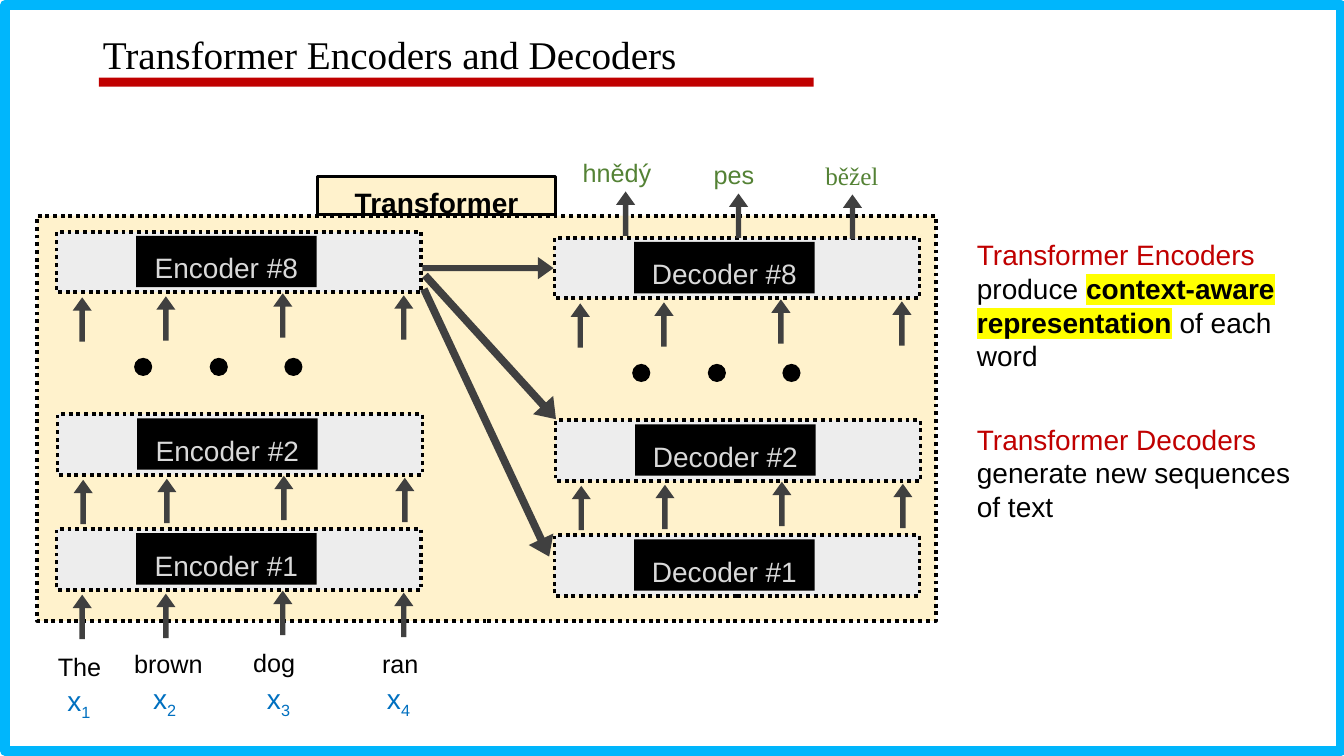
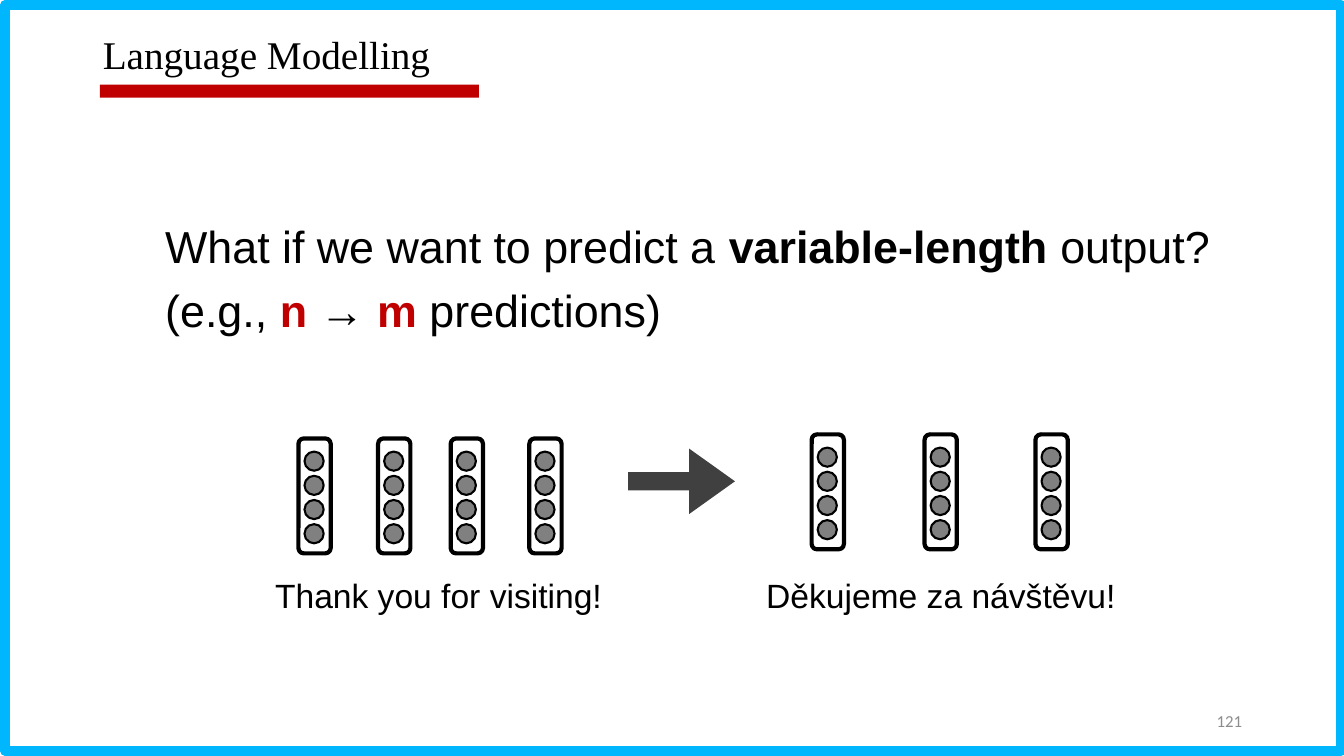
from dataclasses import dataclass

from lxml import etree
from pptx import Presentation
from pptx.dml.color import RGBColor
from pptx.enum.dml import MSO_LINE
from pptx.enum.shapes import MSO_SHAPE as Preset
from pptx.enum.text import MSO_ANCHOR as Anchor, MSO_AUTO_SIZE as AutoSize, PP_ALIGN as Align
from pptx.oxml.ns import qn
from pptx.util import Emu, Pt

EMU_PER_PX = 9144


@dataclass(frozen=True)
class Theme:
    black: str = "000000"
    white: str = "FFFFFF"
    frame: str = "00B6FC"
    accent: str = "C00000"
    cream: str = "FFF2CC"
    layer: str = "EDEDED"
    layer_text: str = "D9D9D9"
    arrow: str = "404040"
    cell: str = "808080"
    token: str = "0070C0"
    output: str = "548235"
    highlight: str = "FFFF00"
    muted: str = "8C8C8C"
    sans: str = "Arial"
    serif: str = "Times New Roman"
    number_font: str = "Calibri"
    small: int = 12
    word: int = 18
    body: int = 20
    caption: int = 24
    title: int = 28
    question: int = 32


THEME = Theme()


@dataclass(frozen=True)
class Span:
    text: str
    color: str = ""
    bold: bool = False
    highlight: str = ""
    subscript: bool = False


def px(length):
    return Emu(length * EMU_PER_PX)


def rgb(color):
    return RGBColor.from_string(color)


def add_span(para, span):
    run = para.add_run()
    run.text = span.text
    if span.bold:
        run.font.bold = True
    if span.color:
        run.font.color.rgb = rgb(span.color)
    properties = run._r.get_or_add_rPr()
    if span.highlight:
        mark = etree.SubElement(properties, qn("a:highlight"))
        etree.SubElement(mark, qn("a:srgbClr"), val=span.highlight)
    if span.subscript:
        properties.set("baseline", "-25000")


def write(box, spans, size, color=THEME.black, font=THEME.sans, align=Align.LEFT,
          spacing=1.0, anchor=Anchor.TOP):
    frame = box.text_frame
    frame.word_wrap = True
    frame.auto_size = AutoSize.NONE
    frame.vertical_anchor = anchor
    para = frame.paragraphs[0]
    para.alignment = align
    para.line_spacing = spacing
    para.font.size = Pt(size)
    para.font.name = font
    para.font.color.rgb = rgb(color)
    for span in spans:
        if span.text == "\n":
            para.add_line_break()
        else:
            add_span(para, span)


def add_text(page, left, top, width, height, spans, size, **style):
    box = page.shapes.add_textbox(px(left), px(top), px(width), px(height))
    write(box, spans, size, **style)


def add_word(page, center, top, text, color=THEME.black, font=THEME.sans):
    width = 136
    add_text(page, center - width // 2, top, width, 55, [Span(text)], THEME.word,
             color=color, font=font, align=Align.CENTER, spacing=1.2)


def add_shape(shapes, preset, left, top, width, height, fill=None, line=None,
              weight=1.0, dash=None):
    shape = shapes.add_shape(preset, px(left), px(top), px(width), px(height))
    shape.shadow.inherit = False
    if fill:
        shape.fill.solid()
        shape.fill.fore_color.rgb = rgb(fill)
    else:
        shape.fill.background()
    if line:
        shape.line.color.rgb = rgb(line)
        shape.line.width = Pt(weight)
        if dash:
            shape.line.dash_style = dash
    else:
        shape.line.fill.background()
    return shape


def add_dotted_panel(page, left, top, width, height, fill):
    add_shape(page.shapes, Preset.RECTANGLE, left, top, width, height, fill,
              THEME.black, 2.75, MSO_LINE.ROUND_DOT)


def add_label(page, left, top, width, height, fill, span, inset, color=THEME.black, line=None):
    label = add_shape(page.shapes, Preset.RECTANGLE, left, top, width, height, fill, line, 1.75)
    label.text_frame.margin_top = px(inset)
    write(label, [span], THEME.body, color=color, align=Align.CENTER, spacing=1.2)


def add_arrow(page, preset, left, top, width, height, rotation=0.0):
    arrow = add_shape(page.shapes, preset, left, top, width, height, THEME.arrow)
    arrow.adjustments[0] = 0.28
    arrow.adjustments[1] = 0.7
    arrow.rotation = rotation


def add_up_arrow(page, center, top):
    add_arrow(page, Preset.UP_ARROW, center - 9, top, 19, 44)


def add_layer(page, left, top, name, has_inputs):
    add_dotted_panel(page, left, top, 362, 60, THEME.layer)
    add_label(page, left + 79, top + 4, 179, 51, THEME.black, Span(name), 8, THEME.layer_text)
    if has_inputs:
        for across, down in ((25, 65), (108, 64), (224, 61), (344, 63)):
            add_up_arrow(page, left + across, top + down)


def add_stack(page, kind, left, top, bottom_has_inputs):
    for number, across, down in ((8, 0, 0), (2, 1, 181), (1, 0, 295)):
        add_layer(page, left + across, top + down, f"{kind} #{number}",
                  number > 1 or bottom_has_inputs)
    for across in (77, 152, 226):
        add_shape(page.shapes, Preset.OVAL, left + across, top + 125, 18, 18, THEME.black)


def add_vector(page, left, top):
    group = page.shapes.add_group_shape()
    add_shape(group.shapes, Preset.ROUNDED_RECTANGLE, left, top, 32, 114,
              line=THEME.black, weight=3)
    for index in range(4):
        add_shape(group.shapes, Preset.OVAL, left + 6, top + 13 + 24 * index, 19, 19,
                  THEME.cell, THEME.black, 1.5)


def add_page(deck, title, bar):
    page = deck.slides.add_slide(deck.slide_layouts[5])
    heading = page.shapes.title
    heading.left, heading.top, heading.width, heading.height = map(px, (92, 30, 978, 68))
    write(heading, [Span(title)], THEME.title, font=THEME.serif, spacing=0.9)
    add_shape(page.shapes, Preset.RECTANGLE, *bar, THEME.accent)
    return page


def add_master_frame(deck, page):
    border = add_shape(page.shapes, Preset.RECTANGLE, 5, 5, 1325, 740,
                       THEME.white, THEME.frame, 7)
    deck.slide_master.shapes.element.insert(2, border.element)


def build_transformer(deck):
    page = add_page(deck, "Transformer Encoders and Decoders", (98, 77, 709, 9))
    add_dotted_panel(page, 37, 214, 891, 402, THEME.cream)
    add_label(page, 315, 175, 236, 38, THEME.cream, Span("Transformer", bold=True), 2,
              line=THEME.black)
    add_stack(page, "Encoder", 56, 230, True)
    add_stack(page, "Decoder", 550, 236, False)

    words = (("The", 79, 635), ("brown", 167, 632), ("dog", 272, 631), ("ran", 397, 632))
    for word, center, top in words:
        add_word(page, center, top, word)
    for index, (left, top) in enumerate(((57, 673), (142, 671), (255, 671), (374, 671)), 1):
        add_text(page, left, top, 60, 44, [Span("x"), Span(str(index), subscript=True)],
                 THEME.body, color=THEME.token)

    outputs = (("hnědý", 612, 145, 620, 190, THEME.sans),
               ("pes", 728, 147, 732, 192, THEME.sans),
               ("běžel", 845, 148, 845, 193, THEME.serif))
    for word, center, top, arrow_center, arrow_top, font in outputs:
        add_word(page, center, top, word, THEME.output, font)
        add_up_arrow(page, arrow_center, arrow_top)

    for left, top, width, height, rotation in ((336, 406, 293, 27, 64.9),
                                               (390, 331, 193, 27, 47.7),
                                               (419, 255, 130, 22, 0)):
        add_arrow(page, Preset.RIGHT_ARROW, left, top, width, height, rotation)

    add_text(page, 959, 231, 349, 145, [
        Span("Transformer Encoders ", THEME.accent),
        Span("produce "),
        Span("context-aware representation", bold=True, highlight=THEME.highlight),
        Span(" of each word"),
    ], THEME.body)
    add_text(page, 959, 414, 338, 111, [
        Span("Transformer Decoders ", THEME.accent),
        Span("generate new sequences of text"),
    ], THEME.body)
    return page


def build_language_modelling(deck):
    page = add_page(deck, "Language Modelling", (99, 84, 376, 13))
    add_text(page, 154, 201, 1107, 150, [
        Span("What if we want to predict a "),
        Span("variable-length", bold=True),
        Span(" output?"),
        Span("\n"),
        Span("(e.g., "),
        Span("n ", THEME.accent, bold=True),
        Span("→ "),
        Span("m ", THEME.accent, bold=True),
        Span("predictions)"),
    ], THEME.question, spacing=1.2)
    for left, caption in ((263, "Thank you for visiting!"), (750, "Děkujeme za návštěvu!")):
        add_text(page, left, 565, 384, 50, [Span(caption)], THEME.caption)
    for left in (296, 375, 447, 525):
        add_vector(page, left, 435)
    for left in (805, 917, 1027):
        add_vector(page, left, 431)
    add_arrow(page, Preset.RIGHT_ARROW, 623, 445, 106, 65)
    add_text(page, 942, 695, 300, 40, [Span("121")], THEME.small, color=THEME.muted,
             font=THEME.number_font, align=Align.RIGHT, anchor=Anchor.MIDDLE)


def main():
    deck = Presentation()
    deck.slide_width, deck.slide_height = px(1333), px(750)
    page = build_transformer(deck)
    add_master_frame(deck, page)
    build_language_modelling(deck)
    deck.save("out.pptx")


if __name__ == "__main__":
    main()
